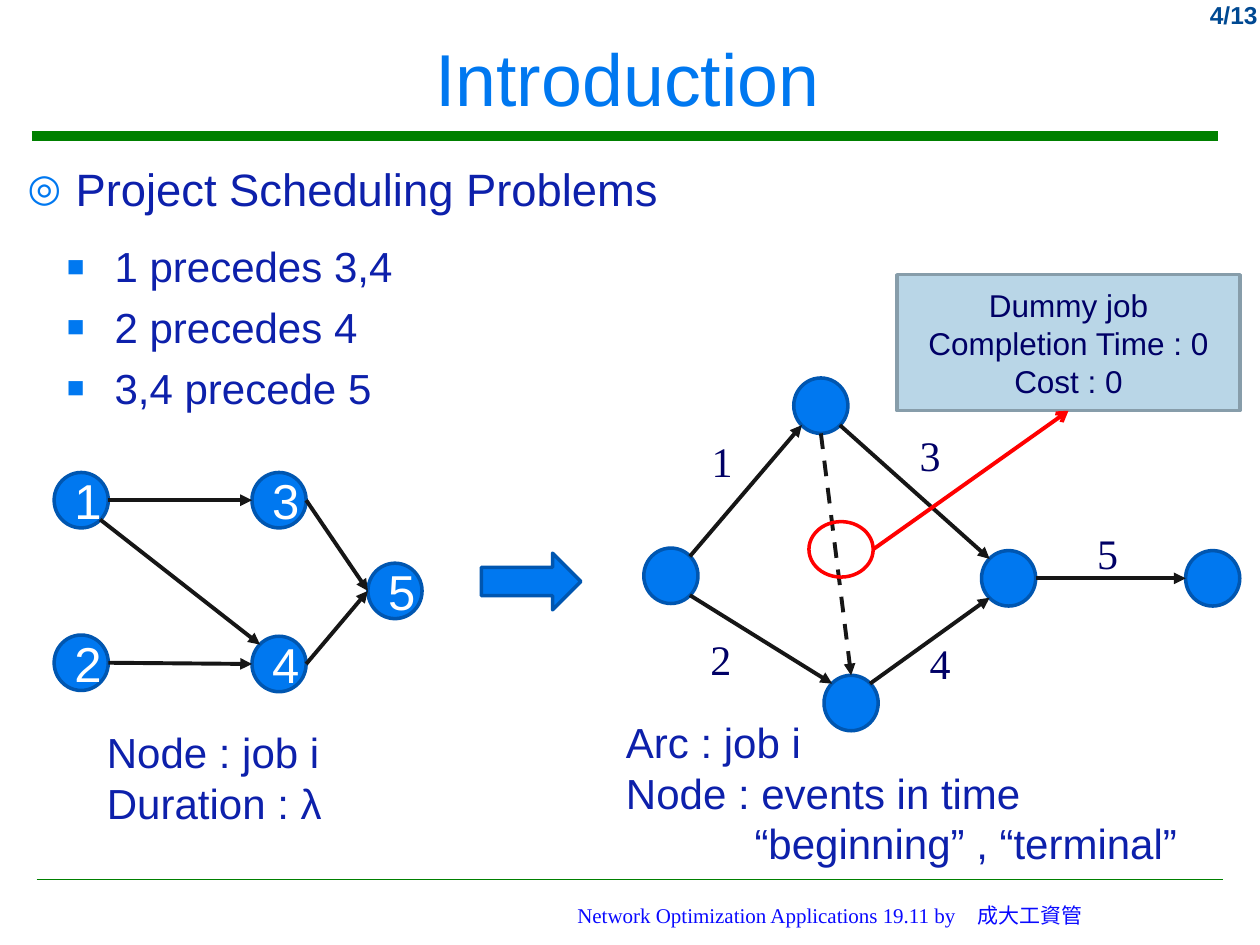
from dataclasses import dataclass

from lxml import etree
from pptx import Presentation
from pptx.dml.color import RGBColor
from pptx.enum.dml import MSO_LINE
from pptx.enum.shapes import MSO_CONNECTOR, MSO_SHAPE
from pptx.enum.text import MSO_ANCHOR, MSO_AUTO_SIZE, PP_ALIGN
from pptx.oxml.ns import qn
from pptx.util import Inches, Pt

STRAIGHT = MSO_CONNECTOR.STRAIGHT
ELLIPSE, RECTANGLE, RIGHT_ARROW = MSO_SHAPE.OVAL, MSO_SHAPE.RECTANGLE, MSO_SHAPE.RIGHT_ARROW
LEFT, CENTER, RIGHT = PP_ALIGN.LEFT, PP_ALIGN.CENTER, PP_ALIGN.RIGHT
TOP, MIDDLE = MSO_ANCHOR.TOP, MSO_ANCHOR.MIDDLE
DASH = MSO_LINE.DASH
TWO_CONTENT_LAYOUT = 3
BOTTOM_SITE = 2

COLUMNS, ROWS = 100, 75
CELL = Inches(0.1)
NODE_WIDTH, NODE_HEIGHT = 4.3, 4.4

COLORS = {
    "blue": "0078F0",
    "outline": "0056B0",
    "text": "0D20AB",
    "navy": "000066",
    "footer": "0A0AFF",
    "page": "004992",
    "rule": "008000",
    "arc": "161616",
    "red": "FF0000",
    "note": "B9D6E7",
    "note_line": "879DAA",
    "white": "FFFFFF",
}

# Points on an ellipse as shares of its width and height
PORTS = {
    "N": (0.5, 0), "S": (0.5, 1), "W": (0, 0.5), "E": (1, 0.5),
    "NW": (0.15, 0.15), "NE": (0.85, 0.15), "SW": (0.15, 0.85), "SE": (0.85, 0.85),
}


@dataclass(frozen=True)
class Box:
    """A rectangle in grid cells."""
    left: float
    top: float
    width: float
    height: float

    def lengths(self) -> list[int]:
        return [round(value * CELL) for value in (self.left, self.top, self.width, self.height)]

    def port(self, name: str) -> tuple[float, float]:
        across, down = PORTS[name]
        return self.left + across * self.width, self.top + down * self.height


@dataclass(frozen=True)
class TextStyle:
    size: float
    color: str
    font: str = "Arial"
    bold: bool = False
    align: PP_ALIGN = LEFT


@dataclass(frozen=True)
class Bullet:
    character: str
    percent: int


@dataclass(frozen=True)
class Arc:
    start: str
    start_port: str
    end: str
    end_port: str
    dash: MSO_LINE | None = None


BODY = TextStyle(24, "text")
NODE_LABEL = TextStyle(28, "white", align=CENTER)
ARC_LABEL = TextStyle(24, "navy", "Times New Roman")


def node(left: float, top: float) -> Box:
    return Box(left, top, NODE_WIDTH, NODE_HEIGHT)


JOB_NODES = {
    "1": node(4.3, 37.5), "2": node(4.3, 50.4), "3": node(20, 37.5),
    "4": node(20, 50.5), "5": node(29.2, 44.7),
}
EVENT_NODES = {
    "begin": node(51.1, 43.5), "upper": node(63, 30), "lower": node(65.4, 53.6),
    "join": node(77.9, 43.7), "terminal": node(94.1, 43.7),
}
JOB_ARCS = [
    Arc("1", "SE", "4", "NW"), Arc("2", "E", "4", "W"), Arc("1", "E", "3", "W"),
    Arc("3", "E", "5", "W"), Arc("4", "E", "5", "W"),
]
EVENT_ARCS = [
    Arc("begin", "NE", "upper", "SW"), Arc("begin", "SE", "lower", "NW"),
    Arc("upper", "S", "lower", "N", DASH), Arc("upper", "SE", "join", "NW"),
    Arc("lower", "NE", "join", "SW"), Arc("join", "E", "terminal", "W"),
]
ARC_LABELS = {
    "1": (55.5, 34.1), "2": (55.4, 49.8), "3": (72, 33.6), "4": (72.8, 50.1), "5": (86.1, 41.4),
}


def rgb(name: str) -> RGBColor:
    return RGBColor.from_string(COLORS[name])


def add_bullet(paragraph, bullet: Bullet) -> None:
    properties = paragraph._p.get_or_add_pPr()
    properties.set("marL", str(Inches(0.38)))
    properties.set("indent", str(-Inches(0.38)))
    color = etree.SubElement(properties, qn("a:buClr"))
    etree.SubElement(color, qn("a:srgbClr"), val=COLORS["blue"])
    etree.SubElement(properties, qn("a:buSzPct"), val=str(bullet.percent * 1000))
    etree.SubElement(properties, qn("a:buChar"), char=bullet.character)


def write(shape, lines: list[str], style: TextStyle, anchor=TOP,
          bullet: Bullet | None = None, gap: float = 0) -> None:
    frame = shape.text_frame
    frame.word_wrap = True
    frame.auto_size = MSO_AUTO_SIZE.NONE
    frame.vertical_anchor = anchor
    for index, line in enumerate(lines):
        paragraph = frame.add_paragraph() if index else frame.paragraphs[0]
        paragraph.text = line
        paragraph.alignment = style.align
        paragraph.space_before = Pt(gap if index else 0)
        if bullet:
            add_bullet(paragraph, bullet)
        font = paragraph.font
        font.name, font.size, font.bold = style.font, Pt(style.size), style.bold
        font.color.rgb = rgb(style.color)


def fill_placeholder(shape, box: Box, lines: list[str], style: TextStyle, **options) -> None:
    shape.left, shape.top, shape.width, shape.height = box.lengths()
    write(shape, lines, style, **options)


def add_text(slide, box: Box, lines: list[str], style: TextStyle, anchor=TOP):
    shape = slide.shapes.add_textbox(*box.lengths())
    write(shape, lines, style, anchor)
    return shape


def add_figure(slide, kind: MSO_SHAPE, box: Box, fill: str | None = "blue", line: str = "outline"):
    shape = slide.shapes.add_shape(kind, *box.lengths())
    shape.shadow.inherit = False
    if fill:
        shape.fill.solid()
        shape.fill.fore_color.rgb = rgb(fill)
    else:
        shape.fill.background()
    shape.line.color.rgb = rgb(line)
    shape.line.width = Pt(2)
    return shape


def add_line(slide, start: tuple[float, float], end: tuple[float, float], color: str = "arc",
             width: float = 2.25, head: str | None = None, dash: MSO_LINE | None = None):
    ends = [round(value * CELL) for value in (*start, *end)]
    connector = slide.shapes.add_connector(STRAIGHT, *ends)
    connector.line.color.rgb = rgb(color)
    connector.line.width = Pt(width)
    if dash:
        connector.line.dash_style = dash
    properties = connector.element.spPr
    if head:
        etree.SubElement(properties.find(qn("a:ln")), qn("a:tailEnd"), type=head)
    etree.SubElement(properties, qn("a:effectLst"))
    return connector


def add_network(slide, nodes: dict[str, Box], arcs: list[Arc], labelled: bool) -> None:
    for name, box in nodes.items():
        shape = add_figure(slide, ELLIPSE, box)
        if labelled:
            write(shape, [name], NODE_LABEL, MIDDLE)
    for arc in arcs:
        add_line(slide, nodes[arc.start].port(arc.start_port), nodes[arc.end].port(arc.end_port),
                 head="triangle", dash=arc.dash)


def add_dummy_job(slide) -> None:
    ring = Box(64.2, 41.4, 5.1, 4.4)
    add_figure(slide, ELLIPSE, ring, fill=None, line="red")
    note = add_figure(slide, RECTANGLE, Box(71.2, 21.8, 27.2, 10.8), "note", "note_line")
    write(note, ["Dummy job", "Completion Time : 0", "Cost : 0"],
          TextStyle(18, "navy", align=CENTER), MIDDLE)
    pointer = add_line(slide, ring.port("E"), (84.8, 32.6), "red", head="arrow")
    pointer.end_connect(note, BOTTOM_SITE)


def main() -> None:
    presentation = Presentation()
    presentation.slide_width, presentation.slide_height = COLUMNS * CELL, ROWS * CELL
    slide = presentation.slides.add_slide(presentation.slide_layouts[TWO_CONTENT_LAYOUT])
    title, topic, precedences = slide.placeholders

    add_line(slide, (2.5, 10.8), (96.7, 10.8), "rule", 5.25)
    add_line(slide, (2.9, 69.8), (97.1, 69.8), "rule", 1)
    fill_placeholder(title, Box(0.8, 0.8, 98, 10.6), ["Introduction"],
                     TextStyle(42, "blue", align=CENTER), anchor=MIDDLE)
    fill_placeholder(topic, Box(1.2, 12.3, 96, 5.5), ["Project Scheduling Problems"],
                     TextStyle(25.9, "text"), bullet=Bullet("◎", 85))
    fill_placeholder(precedences, Box(4.3, 18.6, 95.7, 15),
                     ["1 precedes 3,4", "2 precedes 4", "3,4 precede 5"],
                     BODY, bullet=Bullet("■", 70), gap=6)
    add_text(slide, Box(91.7, -0.5, 9.1, 5.7), ["4/13"],
             TextStyle(14, "page", bold=True, align=RIGHT))
    add_text(slide, Box(33.9, 70.6, 63.9, 4), ["Network Optimization Applications 19.11 by　成大工資管"],
             TextStyle(12, "footer", "Times New Roman", align=CENTER), MIDDLE)

    add_network(slide, JOB_NODES, JOB_ARCS, labelled=True)
    add_text(slide, Box(7.5, 57.2, 22.8, 9), ["Node : job i", "Duration : λ"], BODY)
    meaning = add_text(slide, Box(48.7, 56.4, 48.6, 13),
                       ["Arc : job i", "Node : events in time", "“beginning” , “terminal”"], BODY)
    meaning.text_frame.paragraphs[-1]._p.get_or_add_pPr().set("marL", str(Inches(1.02)))
    add_figure(slide, RIGHT_ARROW, Box(38.2, 43.9, 7.9, 4.5))

    add_network(slide, EVENT_NODES, EVENT_ARCS, labelled=False)
    for label, (left, top) in ARC_LABELS.items():
        add_text(slide, Box(left, top, 4.1, 5), [label], ARC_LABEL)
    add_dummy_job(slide)
    presentation.save("out.pptx")


if __name__ == "__main__":
    main()
